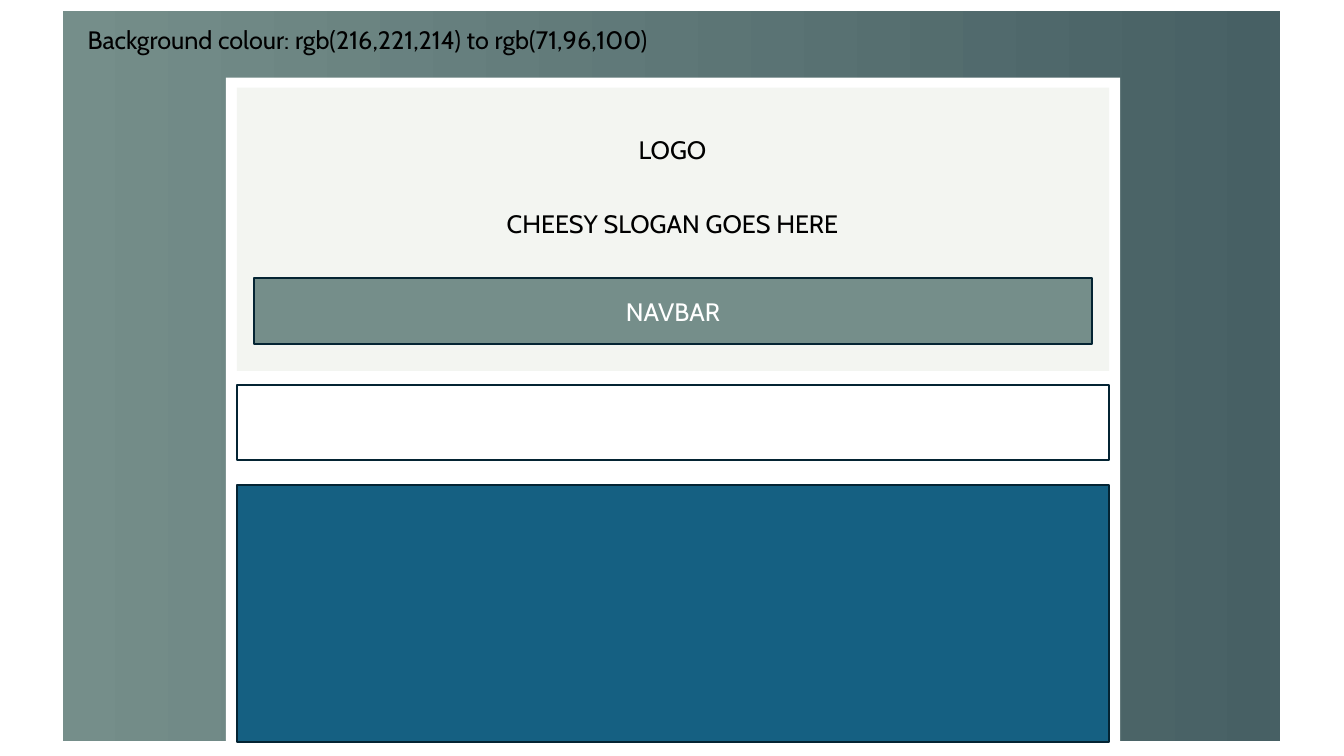
from pptx import Presentation
from pptx.dml.color import RGBColor
from pptx.enum.shapes import MSO_SHAPE
from pptx.enum.text import MSO_ANCHOR, PP_ALIGN
from pptx.util import Inches, Pt

INK = "000000"
WHITE = "FFFFFF"
SAGE = "758E8A"
SLATE = "476064"
NAVY = "042433"


def colour(value):
    """Turn a hex string into a colour."""
    return RGBColor.from_string(value)


def write(shape, text, font_colour=INK, align=PP_ALIGN.CENTER, anchor=MSO_ANCHOR.MIDDLE):
    """Set and format the single line of text in a shape."""
    frame = shape.text_frame
    frame.text = text
    frame.word_wrap = True
    frame.vertical_anchor = anchor
    para = frame.paragraphs[0]
    para.alignment = align
    font = para.runs[0].font
    font.name = "Cabin"
    font.size = Pt(18)
    font.color.rgb = colour(font_colour)


def add_panel(page, left, top, width, height, fill, outline=None):
    """Add a flat rectangle, outlined if a line colour is given."""
    panel = page.shapes.add_shape(
        MSO_SHAPE.RECTANGLE, Inches(left), Inches(top), Inches(width), Inches(height)
    )
    panel.shadow.inherit = False
    panel.fill.solid()
    panel.fill.fore_color.rgb = colour(fill)
    if outline:
        panel.line.color.rgb = colour(outline)
        panel.line.width = Pt(1.5)
    else:
        panel.line.fill.background()
    return panel


def add_label(page, left, top, width, height, text, **style):
    """Add a text box holding one line."""
    box = page.shapes.add_textbox(Inches(left), Inches(top), Inches(width), Inches(height))
    write(box, text, **style)


def shade(panel, start, end):
    """Give a panel a gradient from left to right."""
    panel.fill.gradient()
    panel.fill.gradient_angle = 0
    for stop, value in zip(panel.fill.gradient_stops, (start, end)):
        stop.color.rgb = colour(value)


def main():
    """Build the web page wireframe slide."""
    deck = Presentation()
    deck.slide_width = Inches(13.33)
    deck.slide_height = Inches(7.5)
    page = deck.slides.add_slide(deck.slide_layouts[6])

    backdrop = add_panel(page, 0.62, 0.11, 12.08, 7.24, SAGE)
    shade(backdrop, SAGE, SLATE)
    add_panel(page, 2.24, 0.77, 8.87, 6.58, WHITE)

    add_panel(page, 2.35, 0.87, 8.65, 2.81, "F3F5F1")
    add_label(page, 5.58, 1.1, 2.18, 0.77, "LOGO")
    add_label(page, 3.71, 1.81, 5.92, 0.82, "CHEESY SLOGAN GOES HERE")

    add_panel(page, 2.35, 3.82, 8.65, 0.74, WHITE, NAVY)
    add_panel(page, 2.35, 4.81, 8.65, 2.55, "156082", NAVY)
    add_label(
        page, 0.77, 0.19, 6.89, 0.4,
        "Background colour: rgb(216,221,214) to rgb(71,96,100)",
        align=PP_ALIGN.LEFT, anchor=MSO_ANCHOR.TOP,
    )
    navbar = add_panel(page, 2.52, 2.76, 8.31, 0.65, SAGE, NAVY)
    write(navbar, "NAVBAR", font_colour=WHITE)

    deck.save("out.pptx")


if __name__ == "__main__":
    main()
